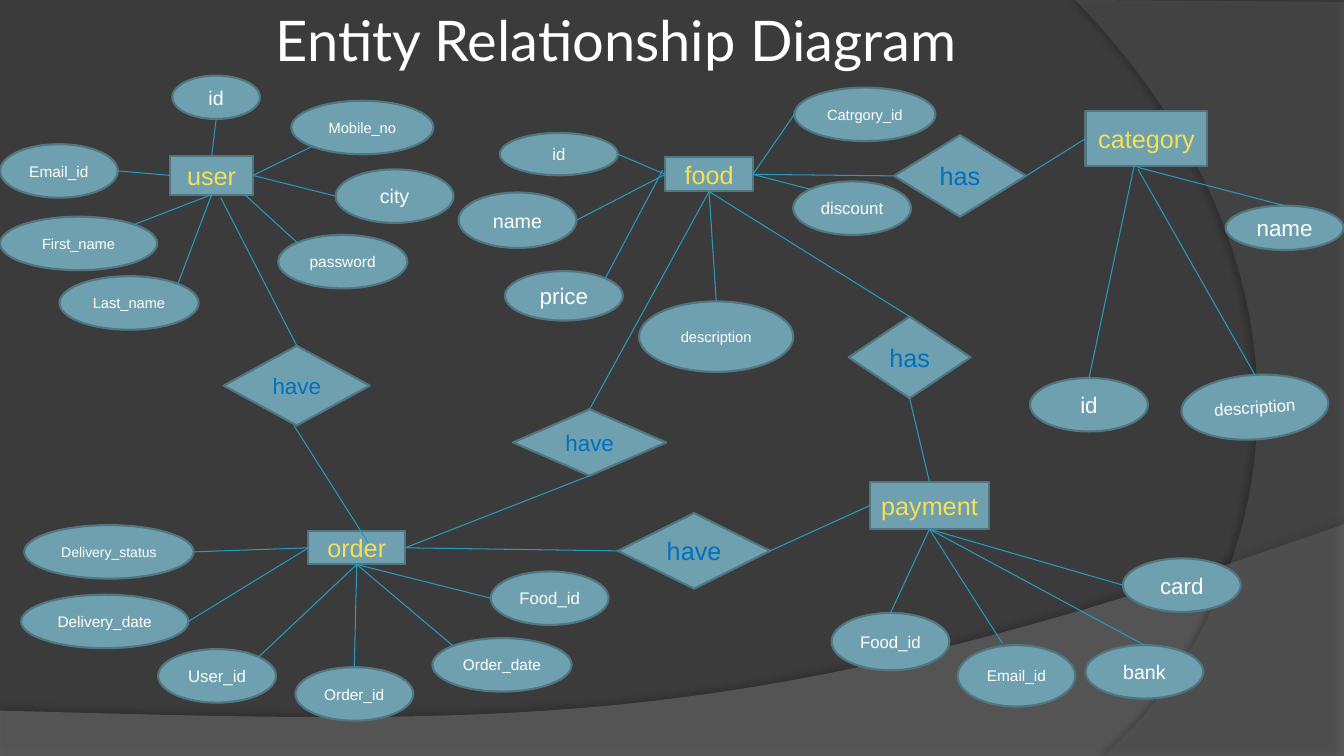
from lxml import etree
from pptx import Presentation
from pptx.dml.color import RGBColor
from pptx.enum.shapes import MSO_CONNECTOR, MSO_SHAPE
from pptx.enum.text import MSO_ANCHOR, PP_ALIGN
from pptx.oxml import parse_xml
from pptx.oxml.ns import qn
from pptx.util import Pt

RECT, DIAMOND, OVAL = MSO_SHAPE.RECTANGLE, MSO_SHAPE.DIAMOND, MSO_SHAPE.OVAL
STRAIGHT = MSO_CONNECTOR.STRAIGHT
CENTER, MIDDLE = PP_ALIGN.CENTER, MSO_ANCHOR.MIDDLE

DARK = RGBColor(0x3B, 0x3B, 0x3B)
WAVE_GRAY = RGBColor(0x7F, 0x7F, 0x7F)
ARC_GRAY = RGBColor(0x5E, 0x5E, 0x5E)
WHITE = RGBColor(0xFF, 0xFF, 0xFF)
TEAL = RGBColor(0x6E, 0xA0, 0xB0)
TEAL_EDGE = RGBColor(0x51, 0x76, 0x82)
YELLOW = RGBColor(0xF7, 0xDF, 0x56)
BLUE = RGBColor(0x00, 0x70, 0xC0)
LINK = RGBColor(0x23, 0x9B, 0xC2)

# Connection sites as fractions of a shape's width and height
T, L, B, R = (0.5, 0), (0, 0.5), (0.5, 1), (1, 0.5)
TL, TR, BL = (0.15, 0.15), (0.85, 0.15), (0.15, 0.85)
W, H = 84.2, 38.2  # usual attribute size

prs = Presentation()
prs.slide_width, prs.slide_height = Pt(960), Pt(540)
s = prs.slides.add_slide(prs.slide_layouts[5])
s.background.fill.solid()
s.background.fill.fore_color.rgb = DARK


def add_node(kind, label, box, size, color):
    sp = s.shapes.add_shape(kind, *[Pt(v) for v in box])
    sp.shadow.inherit = False
    sp.fill.solid()
    sp.fill.fore_color.rgb = TEAL
    sp.line.color.rgb = TEAL_EDGE
    sp.line.width = Pt(1.5)
    tf = sp.text_frame
    tf.margin_left = tf.margin_right = tf.margin_top = tf.margin_bottom = 0
    tf.word_wrap = False
    tf.vertical_anchor = MIDDLE
    p = tf.paragraphs[0]
    p.text = label
    p.alignment = CENTER
    p.font.name, p.font.size, p.font.color.rgb = "Arial", Pt(size), color
    return sp


def add_link(start, start_site, end, end_site):
    ends = []
    for sp, (fx, fy) in ((start, start_site), (end, end_site)):
        ends += [int(sp.left + fx * sp.width), int(sp.top + fy * sp.height)]
    link = s.shapes.add_connector(STRAIGHT, *ends)
    link.line.color.rgb = LINK
    link.line.width = Pt(0.75)
    etree.SubElement(link._element.spPr, qn("a:effectLst"))


# Background panels: corners, Bezier curve, fill, opacity, shadow
panels = [
    ([(0, 540), (960, 540)],
     [(960, 374.4), (536.4, 524.9), (375.1, 517.7), (0, 507.6)],
     WAVE_GRAY, 45, (35, 4, 3.5, 270)),
    ([(960, 1.4), (960, 540)],
     [(788.4, 540), (897.1, 445.7), (977, 216), (768.2, 0)],
     ARC_GRAY, 40, (45, 4, 4, 180)),
]
for i, (corners, curve, color, opacity, shadow) in enumerate(panels):
    points = list(corners)
    for step in range(41):
        t = step / 40
        weights = ((1 - t) ** 3, 3 * t * (1 - t) ** 2, 3 * t * t * (1 - t), t ** 3)
        points.append(tuple(sum(w * c[axis] for w, c in zip(weights, curve))
                            for axis in (0, 1)))
    points = [(Pt(x), Pt(y)) for x, y in points]
    builder = s.shapes.build_freeform(*points[0])
    builder.add_line_segments(points[1:], close=True)
    sp = builder.convert_to_shape()
    sp.fill.solid()
    sp.fill.fore_color.rgb = color
    sp.line.fill.background()
    srgb = sp._element.spPr.find(".//" + qn("a:srgbClr"))
    etree.SubElement(srgb, qn("a:alpha"), val=str(opacity * 1000))
    alpha, blur, dist, angle = shadow
    sp._element.spPr.append(parse_xml(
        '<a:effectLst xmlns:a="http://schemas.openxmlformats.org/drawingml/2006/main">'
        f'<a:outerShdw blurRad="{Pt(blur)}" dist="{Pt(dist)}" dir="{angle * 60000}">'
        f'<a:srgbClr val="000000"><a:alpha val="{alpha * 1000}"/></a:srgbClr>'
        '</a:outerShdw></a:effectLst>'))
    s.shapes._spTree.insert(2 + i, sp._element)  # behind the title

# Title
title = s.shapes.title
title.left, title.top, title.width, title.height = Pt(48), Pt(-15.8), Pt(784), Pt(87.8)
tf = title.text_frame
tf.margin_left = tf.margin_right = tf.margin_top = tf.margin_bottom = Pt(3.6)
tf.vertical_anchor = MIDDLE
p = tf.paragraphs[0]
p.text = "Entity Relationship Diagram"
p.alignment = CENTER
p.font.name, p.font.size, p.font.color.rgb = "Lato", Pt(40), WHITE

# Entities
boxes = {
    "user": (121.7, 111.6, 59, 27.4),
    "food": (475.2, 112.3, 62.6, 24.5),
    "category": (775.4, 79.2, 87.1, 39.6),
    "order": (220.3, 379.4, 69.1, 23.8),
    "payment": (621.4, 344.2, 85, 33.8),
}
entities = {name: add_node(RECT, name, box, 18, YELLOW) for name, box in boxes.items()}

# Relationships: label, box, size, then (entity, its site, diamond site) twice
relationships = [
    ("have", (159.8, 247, 104.4, 56.9), 16,
     ("user", (0.61, 1.08), T), ("order", (0.62, 0.36), (0.48, 1))),
    ("have", (366.5, 292.3, 109.4, 47.5), 16, ("food", B, T), ("order", R, B)),
    ("has", (606.2, 226.1, 87.1, 58.3), 18, ("food", B, T), ("payment", T, B)),
    ("has", (638.6, 96.5, 94.3, 58.3), 18, ("food", R, L), ("category", L, R)),
    ("have", (441.4, 366.5, 108.7, 54), 18, ("order", R, L), ("payment", L, R)),
]
for label, box, size, *links in relationships:
    diamond = add_node(DIAMOND, label, box, size, BLUE)
    for name, entity_site, diamond_site in links:
        add_link(entities[name], entity_site, diamond, diamond_site)

# Attributes: label, box, size, attribute site, entity site, rotation
attributes = {
    "user": [
        ("id", (123.1, 54, 62.6, 31), 14, B, T, 0),
        ("Email_id", (0, 103, W, H), 11, R, L, 0),
        ("First_name", (0, 154.8, 112.3, H), 10.5, TR, B, 0),
        ("Mobile_no", (208.1, 72, 101.5, H), 10.5, BL, R, 0),
        ("city", (239.8, 121, W, H), 14, L, R, 0),
        ("password", (198.7, 167.8, 92.2, H), 11, TL, (0.9, 1), 0),
        ("Last_name", (42.5, 197.3, 99.4, H), 10.5, TR, B, 0),
    ],
    "food": [
        ("description", (456.5, 215.3, 110.2, 50.4), 10.5, T, B, 0),
        ("discount", (566.6, 129.6, W, H), 12, TL, R, 0),
        ("price", (360.7, 193.7, W, 35.3), 16, TR, (-0.03, 0.38), 0),
        ("name", (327.6, 137.5, W, 39.6), 14, R, L, 0),
        ("Catrgory_id", (567.4, 62.6, 100.8, H), 10.5, L, R, 0),
        ("id", (357.1, 95, W, 30.2), 12, R, L, 0),
    ],
    "category": [
        ("id", (735.8, 270, W, H), 16, T, (0.4, 0.98), 0),
        ("description", (843.8, 267.8, 105.1, 46.1), 12, T, (0.43, 1.05), -3.7),
        ("name", (875.5, 146.9, W, 31.7), 16, T, (0.43, 1.02), 0),
    ],
    "order": [
        ("Food_id", (350.6, 408.2, W, H), 12, L, B, 0),
        ("Order_date", (308.9, 455.8, 99.4, H), 11, TL, B, 0),
        ("Order_id", (211, 476.6, W, H), 11, T, B, 0),
        ("User_id", (113, 463.7, W, H), 12, TR, B, 0),
        ("Delivery_date", (15.1, 424.8, 119.5, H), 11, R, L, 0),
        ("Delivery_status", (17.3, 375.1, 121, H), 10, R, L, 0),
    ],
    "payment": [
        ("Food_id", (594, 437.8, W, 41), 12, T, B, 0),
        ("Email_id", (684, 460.8, W, 43.9), 11, (0.38, -0.03), B, 0),
        ("bank", (775.4, 460.8, W, H), 14, T, B, 0),
        ("card", (802.1, 398.9, W, H), 16, L, B, 0),
    ],
}
for name, rows in attributes.items():
    for label, box, size, site, entity_site, rotation in rows:
        oval = add_node(OVAL, label, box, size, WHITE)
        oval.rotation = rotation
        add_link(oval, site, entities[name], entity_site)

prs.save("out.pptx")
